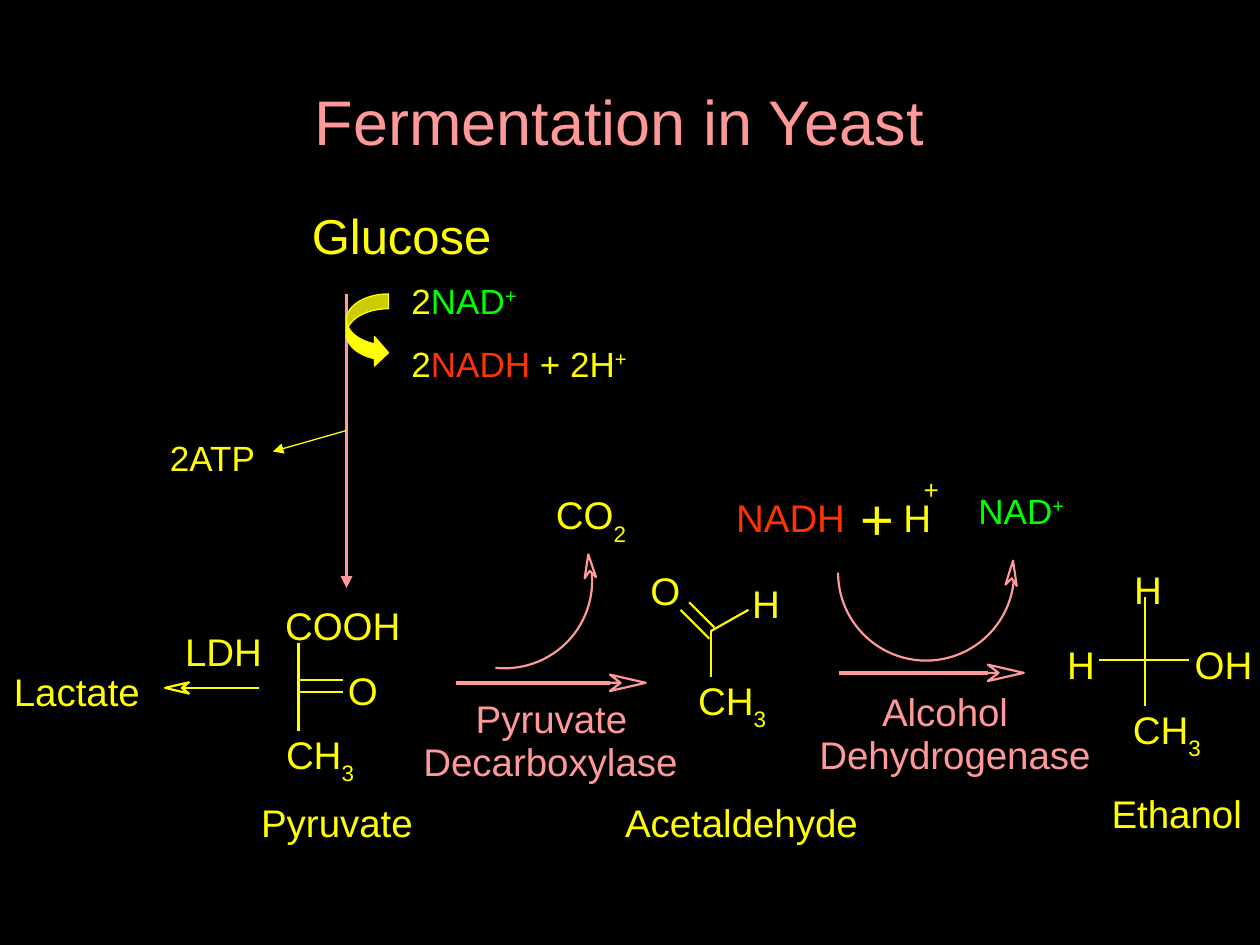
from lxml import etree
from pptx import Presentation
from pptx.dml.color import RGBColor
from pptx.enum.shapes import MSO_CONNECTOR, MSO_SHAPE
from pptx.enum.text import MSO_ANCHOR, MSO_AUTO_SIZE, PP_ALIGN
from pptx.oxml.ns import qn
from pptx.util import Pt

STRAIGHT = MSO_CONNECTOR.STRAIGHT
ARC, CURVED_ARROW = MSO_SHAPE.ARC, MSO_SHAPE.CURVED_RIGHT_ARROW
CENTER, LEFT = PP_ALIGN.CENTER, PP_ALIGN.LEFT
TOP, MIDDLE = MSO_ANCHOR.TOP, MSO_ANCHOR.MIDDLE
GROW, FIXED = MSO_AUTO_SIZE.SHAPE_TO_FIT_TEXT, MSO_AUTO_SIZE.NONE

BLACK, YELLOW, PINK = "000000", "FFFF00", "FF9999"
GREEN, RED = "00FF00", "FF3300"
SUB, SUPER = -33000, 30000
THIN, BOND, REACTION = 0.75, 1.25, 2.25
TIGHT = dict(margin_left=0, margin_right=0, margin_top=0, margin_bottom=0,
             word_wrap=False, auto_size=GROW)

ATOMS = [
    (162.7, 344.2, 66.2, "COOH"), (198.7, 380.9, 17.3, "O"),
    (371.5, 324, 17.3, "O"), (429.8, 331.2, 15.8, "H"),
    (682.6, 366.5, 33.1, "OH"), (609.8, 366.5, 15.8, "H"),
    (648, 323.3, 15.8, "H"), (516.2, 282.2, 15.8, "H"),
]
FORMULAS = [
    (162.7, 417.6, 40.3, "CH", "3"), (398.2, 386.6, 40.3, "CH", "3"),
    (646.6, 403.2, 40.3, "CH", "3"), (316.8, 280.8, 41.8, "CO", "2"),
]
COMPOUNDS = [
    (149, 456.5, 87.1, "Pyruvate"), (357.1, 456.5, 133.2, "Acetaldehyde"),
    (635, 451.4, 74.9, "Ethanol"), (7.9, 381.6, 72, "Lactate"),
    (105.8, 358.6, 43.9, "LDH"),
]
ENZYMES = [
    (271.6, 397.4, 87.1, "Pyruvate"), (241.9, 421.9, 145.4, "Decarboxylase"),
    (504, 393.1, 72, "Alcohol"), (468, 417.6, 155.5, "Dehydrogenase"),
]
COFACTORS = [
    (228, 156, 90, [("2", YELLOW, 0), ("NAD", GREEN, 0), ("+", GREEN, SUPER)]),
    (228, 192, 180, [("2", YELLOW, 0), ("NADH", RED, 0),
                     (" + 2H", YELLOW, 0), ("+", YELLOW, SUPER)]),
    (90, 246, 138, [("2ATP", YELLOW, 0)]),
    (552, 276, 96, [("NAD", GREEN, 0), ("+", GREEN, SUPER)]),
]
BONDS = [
    (170.6, 367.2, 170.6, 417.6), (171.4, 388.8, 195.8, 388.8),
    (171.4, 395.3, 195.8, 395.3), (406.1, 360.7, 406.1, 386.6),
    (408.2, 358.6, 393.8, 344.2), (405.4, 365, 388.8, 348.5),
    (406.1, 360.7, 427.7, 348.5), (654.5, 341.3, 654.5, 403.2),
    (627.8, 377.3, 679.7, 377.3),
]
STEPS = [
    (148.3, 108, 393.1, -13.7, 3.2, YELLOW, BOND),
    (260.6, 348.5, 390.2, 20.5, 4.7, PINK, REACTION),
    (479.5, 564.5, 384.5, 20.5, 4.7, PINK, REACTION),
]
BRANCHES = [
    (288.4, 331.9, 50, 353.4, 96,
     [(334.1, 330.5), (336.2, 316.8), (340.6, 329.8), (337, 326.2)]),
    (529.2, 327.2, 50.3, 4, 180,
     [(574.6, 334.1), (578.9, 320.4), (581, 334.8), (578.2, 330.5)]),
]


def rgb(code):
    return RGBColor.from_string(code)


def apply(target, values):
    for key, value in values.items():
        setattr(target, key, value)


def box(left, top, width, height):
    return dict(left=Pt(left), top=Pt(top), width=Pt(width), height=Pt(height))


def write(shape, runs, size, frame_format, align=LEFT, before=0):
    apply(shape.text_frame, frame_format)
    paragraph = shape.text_frame.paragraphs[0]
    apply(paragraph, dict(alignment=align, space_before=Pt(before)))
    for wording, color, baseline in runs:
        run = paragraph.add_run()
        run.text = wording
        apply(run.font, dict(name="Arial", size=Pt(size)))
        run.font.color.rgb = rgb(color)
        if baseline:
            run._r.get_or_add_rPr().set("baseline", str(baseline))
    return paragraph


def label(slide, left, top, width, runs, size=22):
    area = box(left, top, width, size * 1.2)
    write(slide.shapes.add_textbox(**area), runs, size, TIGHT, CENTER, 2)


def paint(shape, color, weight, fill=None):
    shape.shadow.inherit = False
    if fill:
        shape.fill.solid()
        shape.fill.fore_color.rgb = rgb(fill)
    else:
        shape.fill.background()
    shape.line.color.rgb = rgb(color)
    shape.line.width = Pt(weight)


def line(slide, ends, color, weight, arrow=False):
    connector = slide.shapes.add_connector(STRAIGHT, *map(Pt, ends))
    connector.line.color.rgb = rgb(color)
    connector.line.width = Pt(weight)
    if arrow:
        stroke = connector.line._get_or_add_ln()
        etree.SubElement(stroke, qn("a:tailEnd")).set("type", "triangle")
    etree.SubElement(connector._element.spPr, qn("a:effectLst"))


def arrowhead(slide, points, color):
    corners = [(Pt(x), Pt(y)) for x, y in points]
    builder = slide.shapes.build_freeform(*corners[0], scale=1.0)
    builder.add_line_segments(corners[1:], close=True)
    paint(builder.convert_to_shape(), color, BOND, BLACK)


def step(slide, start, base, y, length, half, color, weight):
    line(slide, (start, y, base, y), color, weight)
    notch = base + length * 0.3
    arrowhead(slide, [(base, y), (notch, y), (base, y - half),
                      (base + length, y), (base, y + half), (notch, y)], color)


def branch(slide, x, y, radius, start, end, head):
    area = box(x - radius, y - radius, 2 * radius, 2 * radius)
    curve = slide.shapes.add_shape(ARC, **area)
    for index, angle in enumerate((start, end)):
        curve.adjustments[index] = angle * 0.6
    paint(curve, PINK, BOND)
    arrowhead(slide, head, PINK)


def headings(slide):
    title, start = slide.placeholders
    apply(title, box(30, 24, 648, 90))
    write(title, [("Fermentation in Yeast", PINK, 0)], 36,
          dict(vertical_anchor=MIDDLE, auto_size=FIXED), CENTER)
    apply(start, box(0, 114, 318, 54))
    glucose = write(start, [("Glucose", YELLOW, 0)], 28,
                    dict(vertical_anchor=TOP, auto_size=FIXED), before=3)
    properties = glucose._p.get_or_add_pPr()
    for key, value in dict(marL=Pt(171), indent=0).items():
        properties.set(key, str(value))
    etree.SubElement(properties, qn("a:buNone"))


def glycolysis(slide):
    line(slide, (198, 168, 198, 336), PINK, REACTION, True)
    turnover = slide.shapes.add_shape(CURVED_ARROW, **box(198, 168, 24, 42))
    for index, value in enumerate((0.35, 0.7, 0.333)):
        turnover.adjustments[index] = value
    paint(turnover, YELLOW, THIN, YELLOW)
    line(slide, (198, 246, 156, 258), YELLOW, THIN, True)
    for left, top, width, runs in COFACTORS:
        area = box(left, top, width, 31)
        write(slide.shapes.add_textbox(**area), runs, 20,
              dict(word_wrap=True, auto_size=GROW), before=2)


def main():
    deck = Presentation()
    apply(deck, dict(slide_width=Pt(720), slide_height=Pt(540)))
    slide = deck.slides.add_slide(deck.slide_layouts[1])
    slide.background.fill.solid()
    slide.background.fill.fore_color.rgb = rgb(BLACK)
    headings(slide)
    glycolysis(slide)
    for ends in BONDS:
        line(slide, ends, YELLOW, BOND)
    for reaction in STEPS:
        step(slide, *reaction)
    for byproduct in BRANCHES:
        branch(slide, *byproduct)
    for group, color in ((ATOMS + COMPOUNDS, YELLOW), (ENZYMES, PINK)):
        for left, top, width, wording in group:
            label(slide, left, top, width, [(wording, color, 0)])
    for left, top, width, letters, count in FORMULAS:
        label(slide, left, top, width,
              [(letters, YELLOW, 0), (count, YELLOW, SUB)])
    label(slide, 420.5, 282.2, 62.6, [("NADH", RED, 0)])
    label(slide, 527.8, 270.7, 8.6, [("+", YELLOW, 0)], 15)
    label(slide, 491.8, 275.8, 19.4, [("+", YELLOW, 0)], 33)
    deck.save("out.pptx")


main()
